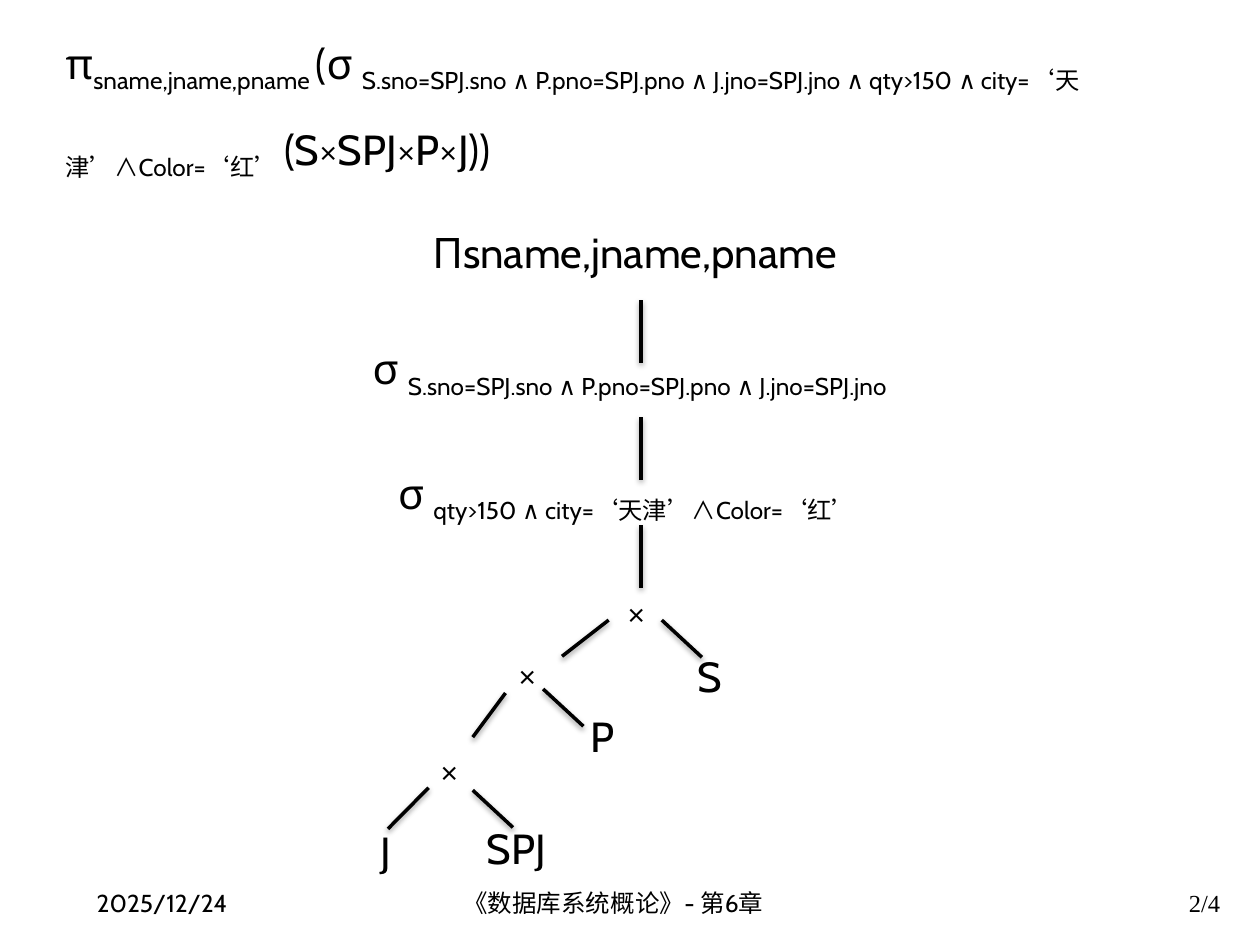
from dataclasses import dataclass

from pptx import Presentation
from pptx.dml.color import RGBColor
from pptx.enum.lang import MSO_LANGUAGE_ID
from pptx.enum.shapes import MSO_CONNECTOR
from pptx.enum.text import MSO_ANCHOR, MSO_AUTO_SIZE, PP_ALIGN
from pptx.util import Cm, Pt


@dataclass(frozen=True)
class Theme:
    ink: RGBColor = RGBColor(0, 0, 0)
    font: str = "Cabin"
    number_font: str = "Times New Roman"
    formula_size: int = 24
    footer_size: int = 14
    line_width: int = 2
    subscript: str = "-25000"


THEME = Theme()
NODE_HEIGHT = 1.27


def write(tf, parts, size, align, font=THEME.font):
    """Fill a frame with one paragraph; every second part is a subscript."""
    p = tf.paragraphs[0]
    p.alignment = align
    for i, text in enumerate(parts):
        r = p.add_run()
        r.text = text
        r.font.name = font
        r.font.size = Pt(size)
        r.font.color.rgb = THEME.ink
        r.font.language_id = MSO_LANGUAGE_ID.SIMPLIFIED_CHINESE
        if i % 2:
            r._r.get_or_add_rPr().set("baseline", THEME.subscript)
    return p


def add_formula(s, left, top, width, height):
    title = s.shapes.title
    title.left, title.top = Cm(left), Cm(top)
    title.width, title.height = Cm(width), Cm(height)
    tf = title.text_frame
    tf.word_wrap = True
    tf.auto_size = MSO_AUTO_SIZE.SHAPE_TO_FIT_TEXT
    tf.vertical_anchor = MSO_ANCHOR.TOP
    parts = [
        "π", "sname,jname,pname ", "(σ ",
        "S.sno=SPJ.sno ∧ P.pno=SPJ.pno ∧ J.jno=SPJ.jno ∧ qty>150 ∧ "
        "city=‘天津’∧Color=‘红’ ",
        "(S×SPJ×P×J))",
    ]
    p = write(tf, parts, THEME.formula_size, PP_ALIGN.LEFT)
    p.line_spacing = 1.5


def add_node(s, center, top, width, parts):
    sp = s.shapes.add_textbox(Cm(center - width / 2), Cm(top),
                              Cm(width), Cm(NODE_HEIGHT))
    tf = sp.text_frame
    tf.word_wrap = False
    tf.auto_size = MSO_AUTO_SIZE.SHAPE_TO_FIT_TEXT
    write(tf, parts, THEME.formula_size, PP_ALIGN.CENTER)


def add_edge(s, x, y, dx, dy):
    # The connector keeps the soft shadow of the theme
    line = s.shapes.add_connector(MSO_CONNECTOR.STRAIGHT, Cm(x), Cm(y),
                                  Cm(x + dx), Cm(y + dy))
    line.line.color.rgb = THEME.ink
    line.line.width = Pt(THEME.line_width)


def add_query_tree(s, left, top, width):
    # Unary operators, centred one below the other
    operators = [
        (0, 9.25, [" Πsname,jname,pname"]),
        (2.34, 14.12, ["σ ", "S.sno=SPJ.sno ∧ P.pno=SPJ.pno ∧ J.jno=SPJ.jno"]),
        (4.85, 11.18, ["σ ", "qty>150 ∧ city=‘天津’∧Color=‘红’ "]),
    ]
    for y, node_width, parts in operators:
        add_node(s, left + width / 2, top + y, node_width, parts)

    # Products and relations: centre, top, width, label
    leaves = [
        (7.19, 7.24, 1.37, "×"), (5, 8.49, 1.37, "×"), (3.43, 10.42, 1.37, "×"),
        (8.67, 8.54, 0.99, "S"), (6.51, 9.76, 0.99, "P"),
        (2.13, 12.07, 0.86, "J"), (4.77, 12.02, 1.78, "SPJ"),
    ]
    for x, y, node_width, label in leaves:
        add_node(s, left + x, top + y, node_width, [label])

    # Edges: vertical stems, then left and right branches
    stems = [(7.28, y, 0, 1.26) for y in (1.61, 3.97, 6.15)]
    left_branches = [(6.63, 8.06, -0.94, 0.73), (4.55, 9.53, -0.66, 0.89),
                     (3, 11.44, -0.82, 0.83)]
    right_branches = [(x, y, 0.81, 0.75)
                      for x, y in ((7.7, 8.06), (5.31, 9.45), (3.89, 11.49))]
    for x, y, dx, dy in stems + left_branches + right_branches:
        add_edge(s, left + x, top + y, dx, dy)


def add_footer(s, left, top, height):
    # Date, book chapter and page number: offset, width, text, alignment, font
    items = [
        (0, 5.29, "2025/12/24", PP_ALIGN.LEFT, THEME.font),
        (7.39, 8.05, "《数据库系统概论》- 第6章", PP_ALIGN.LEFT, THEME.font),
        (17.86, 5.29, "2/4", PP_ALIGN.RIGHT, THEME.number_font),
    ]
    for x, width, text, align, font in items:
        sp = s.shapes.add_textbox(Cm(left + x), Cm(top), Cm(width), Cm(height))
        tf = sp.text_frame
        tf.word_wrap = True
        tf.vertical_anchor = MSO_ANCHOR.BOTTOM
        write(tf, [text], THEME.footer_size, align, font)


def main():
    prs = Presentation()
    prs.slide_width, prs.slide_height = Cm(25.4), Cm(19.05)
    s = prs.slides.add_slide(prs.slide_layouts[5])
    add_formula(s, 1.07, 0.05, 23.7, 3.12)
    add_query_tree(s, 5.64, 4.44, 14.12)
    add_footer(s, 1.7, 17.35, 1.27)
    prs.save("out.pptx")


if __name__ == "__main__":
    main()
